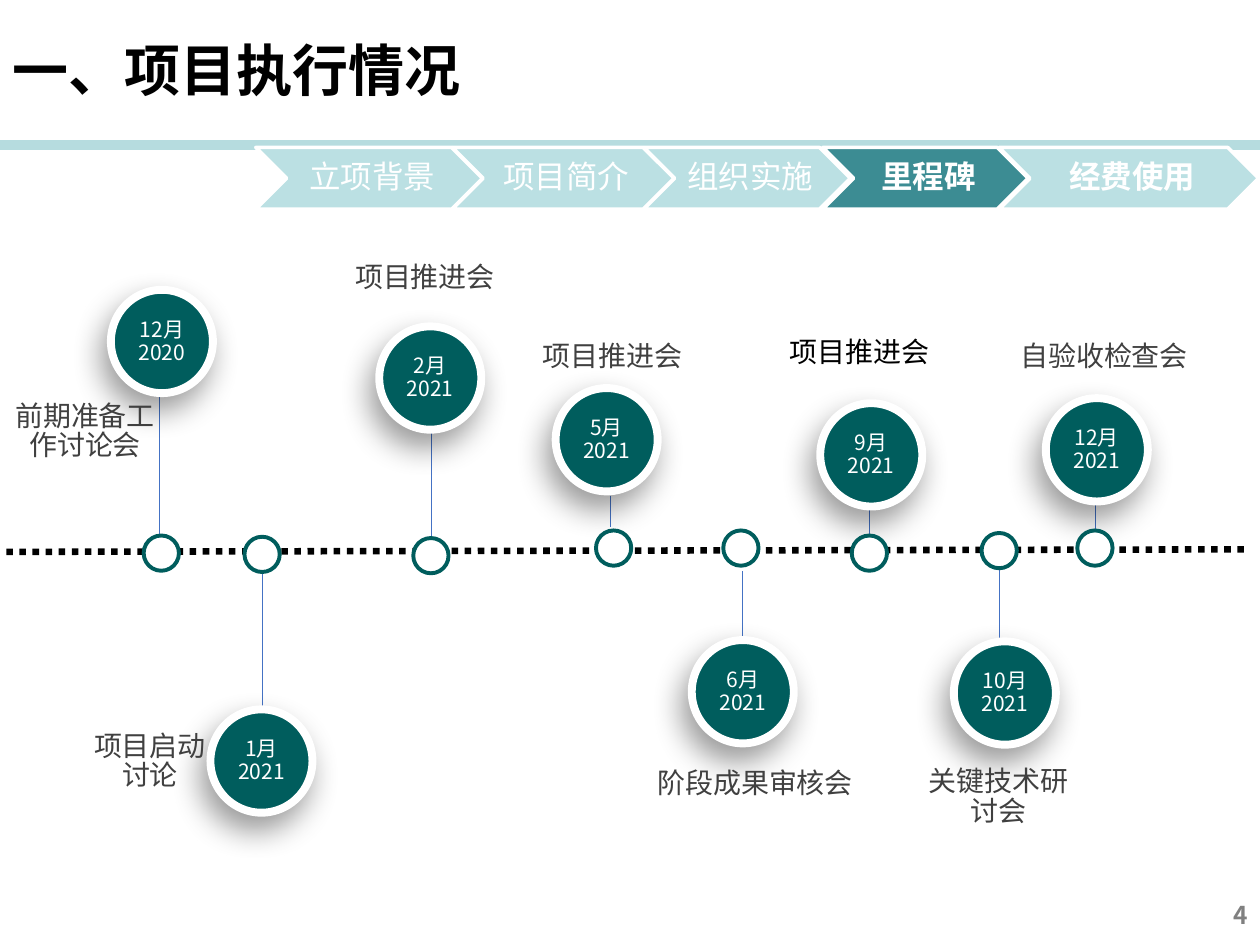
"""Build the project milestone timeline slide."""
from lxml.etree import SubElement
from pptx import Presentation
from pptx.dml.color import RGBColor
from pptx.enum.dml import MSO_LINE
from pptx.enum.shapes import MSO_CONNECTOR, MSO_SHAPE
from pptx.enum.text import MSO_ANCHOR, MSO_AUTO_SIZE, PP_ALIGN
from pptx.oxml.ns import qn
from pptx.util import Inches, Pt

TITLE = "一、项目执行情况"
PAGE_NUMBER = "4"
STEPS = [
    ("立项背景", 2.03, 1.80, False),
    ("项目简介", 3.59, 1.76, False),
    ("组织实施", 5.11, 1.64, False),
    ("里程碑", 6.53, 1.63, True),
    ("经费使用", 7.93, 2.06, True),
]
CURRENT_STEP = "里程碑"
LEFT, CENTER, RIGHT = PP_ALIGN.LEFT, PP_ALIGN.CENTER, PP_ALIGN.RIGHT
MILESTONES = [
    {"date": "12月\n2020", "disc": (0.88, 2.30), "dot": (1.14, 4.25), "stem": (1.26, 3.08, 4.25),
     "label": "前期准备工作讨论会", "area": (0, 3.14, 1.35, 0.58), "align": CENTER},
    {"date": "1月\n2021", "disc": (1.67, 5.63), "dot": (1.94, 4.26), "stem": (2.08, 4.53, 5.78),
     "label": "项目启动讨论", "area": (0.58, 5.76, 1.22, 0.58), "align": CENTER},
    {"date": "2月\n2021", "disc": (3.01, 2.59), "dot": (3.28, 4.27), "stem": (3.42, 3.20, 4.37),
     "label": "项目推进会", "area": (2.72, 2.04, 1.39, 0.34), "align": LEFT},
    {"date": "5月\n2021", "disc": (4.41, 3.08), "dot": (4.73, 4.21), "stem": (4.84, 3.94, 4.18),
     "label": "项目推进会", "area": (4.21, 2.67, 1.81, 0.34), "align": LEFT},
    {"date": "6月\n2021", "disc": (5.49, 5.08), "dot": (5.74, 4.21), "stem": (5.89, 4.53, 5.08),
     "label": "阶段成果审核会", "area": (5.12, 6.06, 1.82, 0.34), "align": LEFT},
    {"date": "9月\n2021", "disc": (6.51, 3.20), "dot": (6.76, 4.25), "stem": (6.90, 4.01, 4.25),
     "label": "项目推进会", "area": (6.17, 2.64, 1.39, 0.34), "align": LEFT, "color": "black"},
    {"date": "10月\n2021", "disc": (7.57, 5.09), "dot": (7.79, 4.23), "stem": (7.93, 4.50, 5.30),
     "label": "关键技术研讨会", "area": (7.26, 6.04, 1.33, 0.58), "align": CENTER},
    {"date": "12月\n2021", "disc": (8.30, 3.16), "dot": (8.55, 4.21), "stem": (8.69, 3.97, 4.21),
     "label": "自验收检查会", "area": (8.00, 2.67, 1.55, 0.34), "align": LEFT},
]
DISC_SIZE, DOT_SIZE = (0.81, 0.82), (0.28, 0.28)
THEME = {
    "font": "Noto Sans CJK SC",
    "colors": {"black": "000000", "white": "FFFFFF", "text": "404040", "muted": "808080",
               "rule": "B6DCDF", "step": "BBE0E3", "current": "3C8C93",
               "teal": "005D5D", "stem": "4472C4"},
    "sizes": {"title": 32, "step": 18, "label": 16, "number": 14, "date": 12},
}


def color(name):
    return RGBColor.from_string(THEME["colors"][name])


def write(box, text, size, ink, align=LEFT, bold=False, spacing=None, insets=None, **frame_format):
    frame = box.text_frame
    values = {"word_wrap": True, "auto_size": MSO_AUTO_SIZE.NONE} | frame_format
    for name, value in values.items():
        setattr(frame, name, value)
    if insets:
        for side, inset in zip(("left", "top", "right", "bottom"), insets):
            setattr(frame, f"margin_{side}", Inches(inset))
    para = frame.paragraphs[0]
    para.text = text
    para.alignment = align
    para.line_spacing = spacing
    for span in para.runs:
        for name, value in {"name": THEME["font"], "size": Pt(THEME["sizes"][size]), "bold": bold}.items():
            setattr(span.font, name, value)
        span.font.color.rgb = color(ink)
        SubElement(span.font._element, qn("a:ea"), typeface=THEME["font"])


def add_text(page, area, *content, **text_format):
    write(page.shapes.add_textbox(*map(Inches, area)), *content, **text_format)


def add_line(page, start, end, ink, width, dash=None):
    line = page.shapes.add_connector(MSO_CONNECTOR.STRAIGHT, *map(Inches, start + end))
    line.line.color.rgb = color(ink)
    line.line.width = Pt(width)
    if dash:
        line.line.dash_style = dash
    SubElement(line._element.spPr, qn("a:effectLst"))


def add_figure(page, kind, area, fill, outline, width):
    figure = page.shapes.add_shape(kind, *map(Inches, area))
    figure.shadow.inherit = False
    figure.fill.solid()
    figure.fill.fore_color.rgb = color(fill)
    figure.line.color.rgb = color(outline)
    figure.line.width = Pt(width)
    return figure


def cast_shadow(figure):
    effects = figure._element.spPr.find(qn("a:effectLst"))
    shadow = SubElement(effects, qn("a:outerShdw"), blurRad=str(Pt(18)), dist=str(Pt(9)),
                        dir=str(114 * 60000), algn="ctr", rotWithShape="0")
    tint = SubElement(shadow, qn("a:srgbClr"), val=THEME["colors"]["black"])
    SubElement(tint, qn("a:alpha"), val="40000")


def add_header(page):
    add_line(page, (0, 1.15), (10, 1.15), "rule", 6)
    title = page.shapes.title
    for name, value in zip(("left", "top", "width", "height"), (0, 0, 8.26, 1.1)):
        setattr(title, name, Inches(value))
    write(title, TITLE, "title", "black", bold=True, vertical_anchor=MSO_ANCHOR.MIDDLE)
    for text, left, width, bold in STEPS:
        fill = "current" if text == CURRENT_STEP else "step"
        chevron = add_figure(page, MSO_SHAPE.CHEVRON, (left, 1.17, width, 0.49), fill, "white", 2)
        write(chevron, text, "step", "white", CENTER, bold, 0.9,
              (0.08, 0.03, 0.03, 0.03), vertical_anchor=MSO_ANCHOR.MIDDLE)


def add_timeline(page):
    for item in MILESTONES:
        x, top, bottom = item["stem"]
        add_line(page, (x, top), (x, bottom), "stem", 0.25)
    add_line(page, (0.05, 4.38), (9.89, 4.36), "black", 3.75, MSO_LINE.ROUND_DOT)
    for item in MILESTONES:
        disc = add_figure(page, MSO_SHAPE.OVAL, item["disc"] + DISC_SIZE, "teal", "white", 4.5)
        cast_shadow(disc)
        write(disc, item["date"], "date", "white", CENTER, False, Pt(13.2),
              (0, 0.05, 0, 0.05), vertical_anchor=MSO_ANCHOR.MIDDLE, word_wrap=False)
        add_figure(page, MSO_SHAPE.OVAL, item["dot"] + DOT_SIZE, "white", "teal", 2.25)
    for item in MILESTONES:
        add_text(page, item["area"], item["label"], "label", item.get("color", "text"),
                 align=item["align"], spacing=Pt(17))


def main():
    deck = Presentation()
    deck.slide_width, deck.slide_height = Inches(10), Inches(7.5)
    page = deck.slides.add_slide(deck.slide_layouts[5])
    add_header(page)
    add_timeline(page)
    add_text(page, (7.67, 7.09, 2.33, 0.52), PAGE_NUMBER, "number", "muted", align=RIGHT, bold=True)
    deck.save("out.pptx")


if __name__ == "__main__":
    main()
